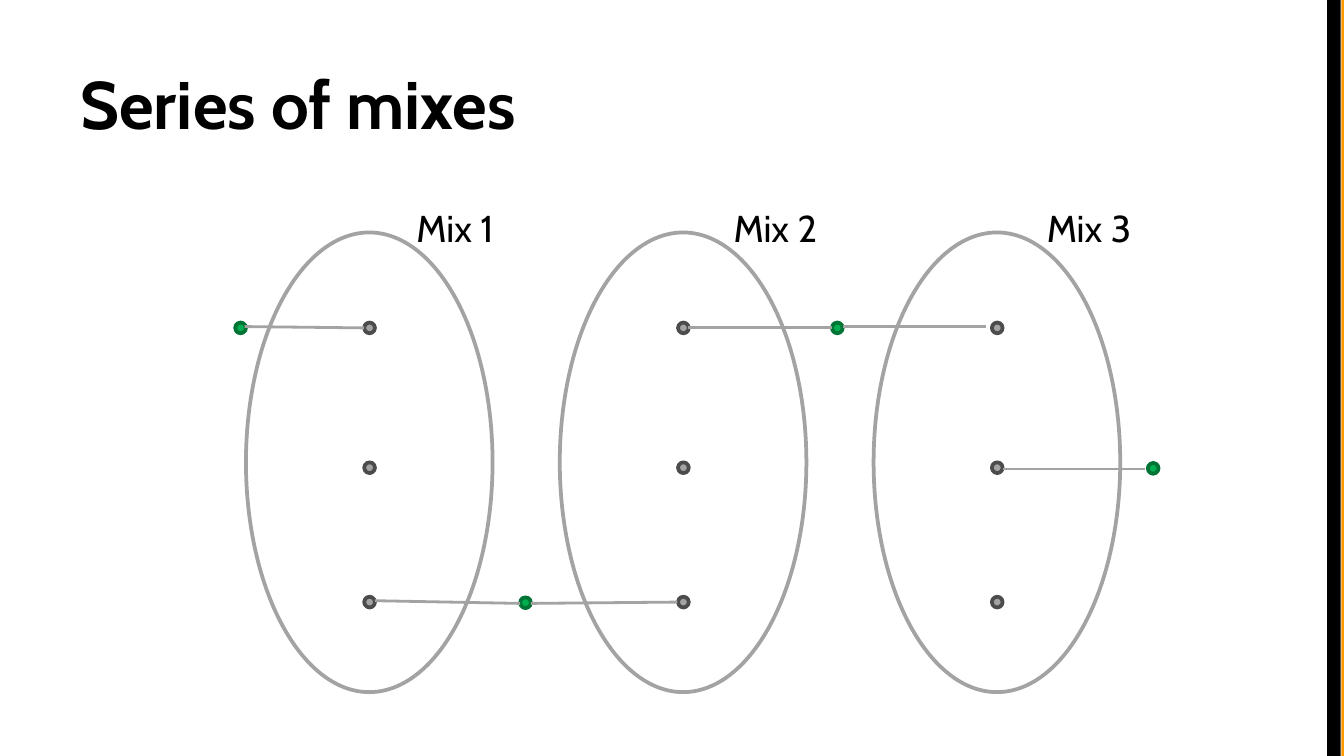
import pptx
import pptx.dml.color
import pptx.enum.shapes
import pptx.enum.text
import pptx.oxml
import pptx.oxml.ns
import pptx.util

RGBColor = pptx.dml.color.RGBColor
BLACK = RGBColor(0x00, 0x00, 0x00)
WHITE = RGBColor(0xFF, 0xFF, 0xFF)
ORANGE = RGBColor(0xFF, 0x99, 0x00)
GRAY = RGBColor(0xA3, 0xA3, 0xA3)
DARK_GRAY = RGBColor(0x4C, 0x4C, 0x4C)
GREEN = RGBColor(0x00, 0xB0, 0x50)
DARK_GREEN = RGBColor(0x00, 0x74, 0x34)

PX_PER_INCH = 200
SLIDE_WIDTH, SLIDE_HEIGHT = 2000, 1125
DOT_SIZE = 16
MIX_LEFT, MIX_TOP, MIX_WIDTH, MIX_HEIGHT = 366, 346, 367, 684
MIX_PITCH = 467
DOT_OFFSET = 176
ROW_TOPS = (480, 688, 888)
LABEL_LEFTS = (600, 1072, 1538)
MESSAGE_DOTS = ((350, 480), (774, 889), (1238, 480), (1708, 689))
ROUTE_LINES = (
    (558, 894, 774, 898),
    (364, 486, 542, 488),
    (1024, 488, 1238, 488),
    (1492, 698, 1704, 698),
    (1254, 486, 1468, 486),
    (790, 898, 1008, 896),
)


def px(value):
    return pptx.util.Emu(value * 914400 // PX_PER_INCH)


def apply_format(target, values):
    for name, value in values.items():
        setattr(target, name, value)


class SlideBuilder:
    font_name = "Cabin"

    def __init__(self, slide):
        self.slide = slide

    def shape(self, kind, left, top, width, height, fill, line=None):
        shape = self.slide.shapes.add_shape(
            kind, px(left), px(top), px(width), px(height)
        )
        shape.shadow.inherit = False
        shape.fill.solid()
        shape.fill.fore_color.rgb = fill
        if line is None:
            shape.line.fill.background()
        else:
            shape.line.color.rgb = line
            shape.line.width = pptx.util.Pt(2)

    def bar(self, left, width, color):
        rectangle = pptx.enum.shapes.MSO_SHAPE.RECTANGLE
        self.shape(rectangle, left, 0, width, SLIDE_HEIGHT, color)

    def ellipse(self, left, top, width, height, fill, line):
        oval = pptx.enum.shapes.MSO_SHAPE.OVAL
        self.shape(oval, left, top, width, height, fill, line)

    def dot(self, left, top, fill, line):
        self.ellipse(left, top, DOT_SIZE, DOT_SIZE, fill, line)

    def line(self, start_x, start_y, end_x, end_y):
        connector = self.slide.shapes.add_connector(
            pptx.enum.shapes.MSO_CONNECTOR.STRAIGHT,
            px(start_x), px(start_y), px(end_x), px(end_y),
        )
        connector.line.color.rgb = GRAY
        connector.line.width = pptx.util.Pt(1.5)
        properties = connector.element.find(pptx.oxml.ns.qn("p:spPr"))
        properties.append(pptx.oxml.parse_xml(
            f"<a:effectLst {pptx.oxml.ns.nsdecls('a')}/>"
        ))

    def text(self, text, left, top, width, height, size, bold=False,
             inset=10, anchor=pptx.enum.text.MSO_ANCHOR.TOP):
        box = self.slide.shapes.add_textbox(
            px(left), px(top), px(width), px(height)
        )
        apply_format(box.text_frame, {
            "word_wrap": True,
            "vertical_anchor": anchor,
            "margin_left": px(20),
            "margin_right": px(20),
            "margin_top": px(inset),
            "margin_bottom": px(inset),
        })
        paragraph = box.text_frame.paragraphs[0]
        run = paragraph.add_run()
        run.text = text
        apply_format(run.font, {
            "name": self.font_name,
            "size": pptx.util.Pt(size),
            "bold": bold,
        })
        run.font.color.rgb = BLACK


def main():
    presentation = pptx.Presentation()
    presentation.slide_width = px(SLIDE_WIDTH)
    presentation.slide_height = px(SLIDE_HEIGHT)
    slide = presentation.slides.add_slide(presentation.slide_layouts[6])
    builder = SlideBuilder(slide)

    builder.bar(1996, 4, ORANGE)
    builder.bar(1975, 20, BLACK)
    builder.text("Series of mixes", 100, 45, 1800, 188, 36, bold=True,
                 inset=20, anchor=pptx.enum.text.MSO_ANCHOR.BOTTOM)

    for index in reversed(range(len(LABEL_LEFTS))):
        mix_left = MIX_LEFT + index * MIX_PITCH
        builder.ellipse(mix_left, MIX_TOP, MIX_WIDTH, MIX_HEIGHT, WHITE, GRAY)
        for row_top in ROW_TOPS:
            builder.dot(mix_left + DOT_OFFSET, row_top, GRAY, DARK_GRAY)

    for dot_left, dot_top in MESSAGE_DOTS:
        builder.dot(dot_left, dot_top, GREEN, DARK_GREEN)
    for route_line in ROUTE_LINES:
        builder.line(*route_line)
    for number, label_left in enumerate(LABEL_LEFTS, start=1):
        builder.text(f"Mix {number}", label_left, 296, 170, 88, 20)

    presentation.save("out.pptx")


if __name__ == "__main__":
    main()
